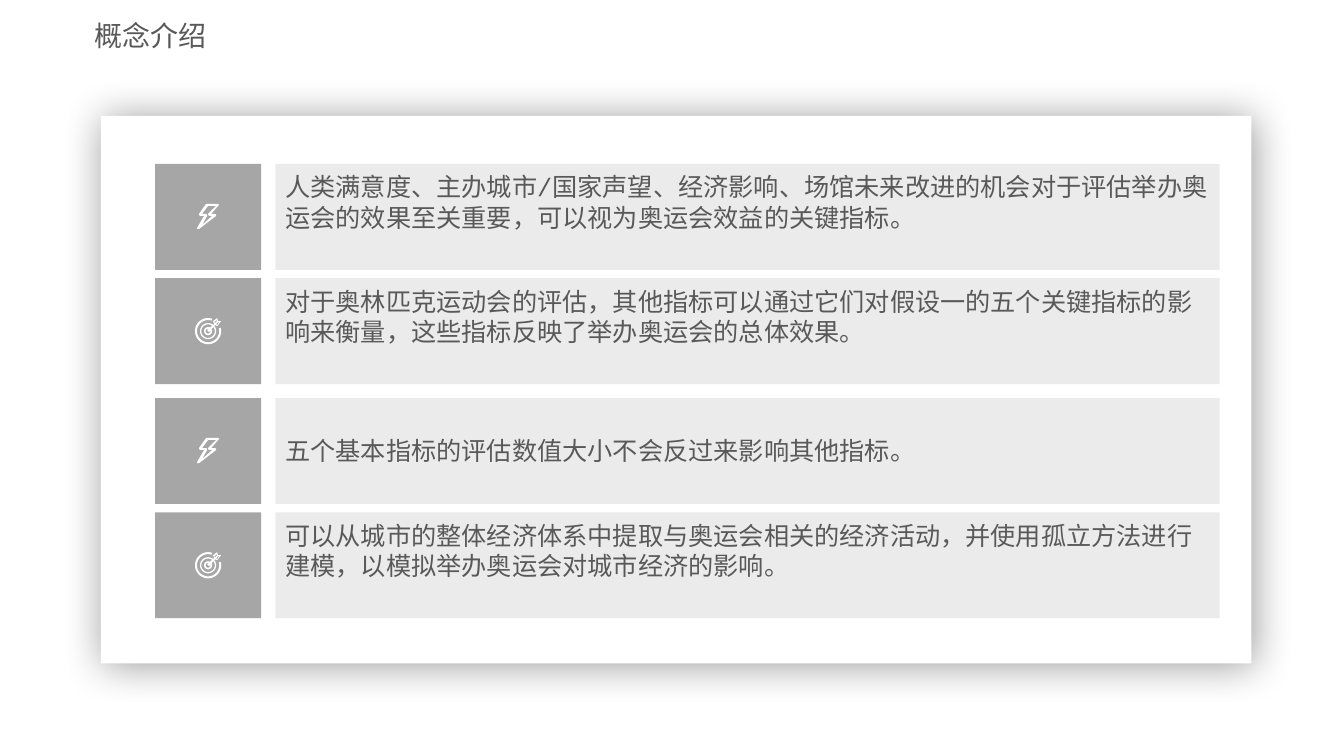
from math import cos, radians, sin

from lxml import etree
from pptx import Presentation
from pptx.dml.color import RGBColor
from pptx.enum.shapes import MSO_SHAPE
from pptx.enum.text import MSO_ANCHOR, PP_ALIGN
from pptx.oxml.ns import qn
from pptx.util import Cm, Pt

RECTANGLE = MSO_SHAPE.RECTANGLE
MIDDLE, TOP, LEFT = MSO_ANCHOR.MIDDLE, MSO_ANCHOR.TOP, PP_ALIGN.LEFT

# Content: icon, text, room kept free below the text in cm
TITLE = "概念介绍"
ROWS = [
    ("bolt", "人类满意度、主办城市/国家声望、经济影响、场馆未来改进的机会对于评估举办奥运会的效果至关重要，可以视为奥运会效益的关键指标。", 0.88),
    ("target", "对于奥林匹克运动会的评估，其他指标可以通过它们对假设一的五个关键指标的影响来衡量，这些指标反映了举办奥运会的总体效果。", 0.88),
    ("bolt", "五个基本指标的评估数值大小不会反过来影响其他指标。", 0.13),
    ("target", "可以从城市的整体经济体系中提取与奥运会相关的经济活动，并使用孤立方法进行建模，以模拟举办奥运会对城市经济的影响。", 0.88),
]
WHITE, BAR_GREY, TILE_GREY, TEXT_GREY = "FFFFFF", "D9D9D9", "A6A6A6", "595959"
TITLE_FONT, BODY_FONT = "Noto Sans CJK SC", "Courier New"

# Layout: rows come in pairs
TILE_LEFT, TILE_SIZE = Cm(3.91), Cm(2.67)
BAR_LEFT, BAR_WIDTH = Cm(6.94), Cm(23.8)
FIRST_TOP, ROW_STEP, PAIR_STEP = Cm(4.13), Cm(2.88), Cm(5.9)
ICON_UNIT = Cm(2.54) / 100


def ring(outer, inner, start, end):
    """Open band between two radii, angles in degrees."""
    angles = [radians(start + (end - start) * step / 40) for step in range(41)]
    return ([(outer * cos(a), -outer * sin(a)) for a in angles]
            + [(inner * cos(a), -inner * sin(a)) for a in reversed(angles)])


# Icon outlines around the tile centre
ICONS = {
    "bolt": [
        [(3, -3), (7, -3), (8, -2), (8, -1), (-9, 12), (-11, 12), (-11, 11),
         (-4, -1), (-8, -1), (-9, -2), (-9, -3), (-2, -13), (10, -13),
         (11, -12), (10, -11)],
        [(4, -1), (1, -1), (0, -2), (0, -3), (8, -11), (0, -11), (-6, -3),
         (-2, -3), (-1, -2), (-1, -1), (-6, 8)],
    ],
    "target": [
        ring(13, 11, 72, 375),
        ring(8, 6.7, 53, 397),
        ring(4, 2.4, 65, 385),
        [(-1, -1), (6, -7), (5, -10), (9, -13), (10, -10), (13, -10),
         (9, -5), (7, -6), (1, 1)],
        [(9, -11), (6, -9), (7, -8), (9, -10)],
        [(10, -9), (8, -7), (9, -6), (11, -9)],
    ],
}


def color(value):
    return RGBColor.from_string(value)


def paint(shape, value):
    shape.shadow.inherit = False
    shape.fill.solid()
    shape.fill.fore_color.rgb = color(value)
    shape.line.fill.background()


def add_child(parent, tag, **attributes):
    return etree.SubElement(parent, qn(tag), attributes)


def write(shape, text, size, font, anchor):
    frame = shape.text_frame
    frame.word_wrap = True
    frame.vertical_anchor = anchor
    para = frame.paragraphs[0]
    para.alignment = LEFT
    span = para.add_run()
    span.text = text
    span.font.size = Pt(size)
    span.font.name = font
    span.font.color.rgb = color(TEXT_GREY)
    add_child(span.font._element, "a:ea", typeface=font)


def draw_icon(shapes, outlines, center_x, center_y):
    placed = [[(round(center_x + x * ICON_UNIT), round(center_y + y * ICON_UNIT))
               for x, y in outline] for outline in outlines]
    builder = shapes.build_freeform(*placed[0][0])
    for number, points in enumerate(placed):
        if number:
            builder.move_to(*points[0])
        builder.add_line_segments(points[1:], close=True)
    paint(builder.convert_to_shape(), WHITE)


deck = Presentation()
deck.slide_width, deck.slide_height = Cm(33.87), Cm(19.05)
page = deck.slides.add_slide(deck.slide_layouts[6])

# Card with a soft shadow
card = page.shapes.add_shape(RECTANGLE, Cm(2.54), Cm(2.92), Cm(29), Cm(13.8))
paint(card, WHITE)
effects = card._element.spPr.find(qn("a:effectLst"))
shadow = add_child(effects, "a:outerShdw", blurRad=str(Pt(30)), dist=str(Pt(3)),
                   dir="2700000", algn="tl", rotWithShape="0")
shade = add_child(shadow, "a:srgbClr", val="000000")
add_child(shade, "a:alpha", val="40000")

# Title
title = page.shapes.add_textbox(Cm(2.13), Cm(0.33), Cm(8), Cm(1.2))
write(title, TITLE, 20, TITLE_FONT, TOP)

# Rows: icon tile and text bar
for index, (icon, text, room) in enumerate(ROWS):
    pair, place = divmod(index, 2)
    top = FIRST_TOP + pair * PAIR_STEP + place * ROW_STEP

    bar = page.shapes.add_shape(RECTANGLE, BAR_LEFT, top, BAR_WIDTH, TILE_SIZE)
    paint(bar, BAR_GREY)
    add_child(bar._element.spPr.find(".//" + qn("a:srgbClr")), "a:alpha", val="50000")
    write(bar, text, 18, BODY_FONT, MIDDLE)
    bar.text_frame.margin_bottom = Cm(room)

    badge = page.shapes.add_group_shape().shapes
    tile = badge.add_shape(RECTANGLE, TILE_LEFT, top, TILE_SIZE, TILE_SIZE)
    paint(tile, TILE_GREY)
    draw_icon(badge, ICONS[icon], TILE_LEFT + TILE_SIZE / 2, top + TILE_SIZE / 2)

deck.save("out.pptx")
